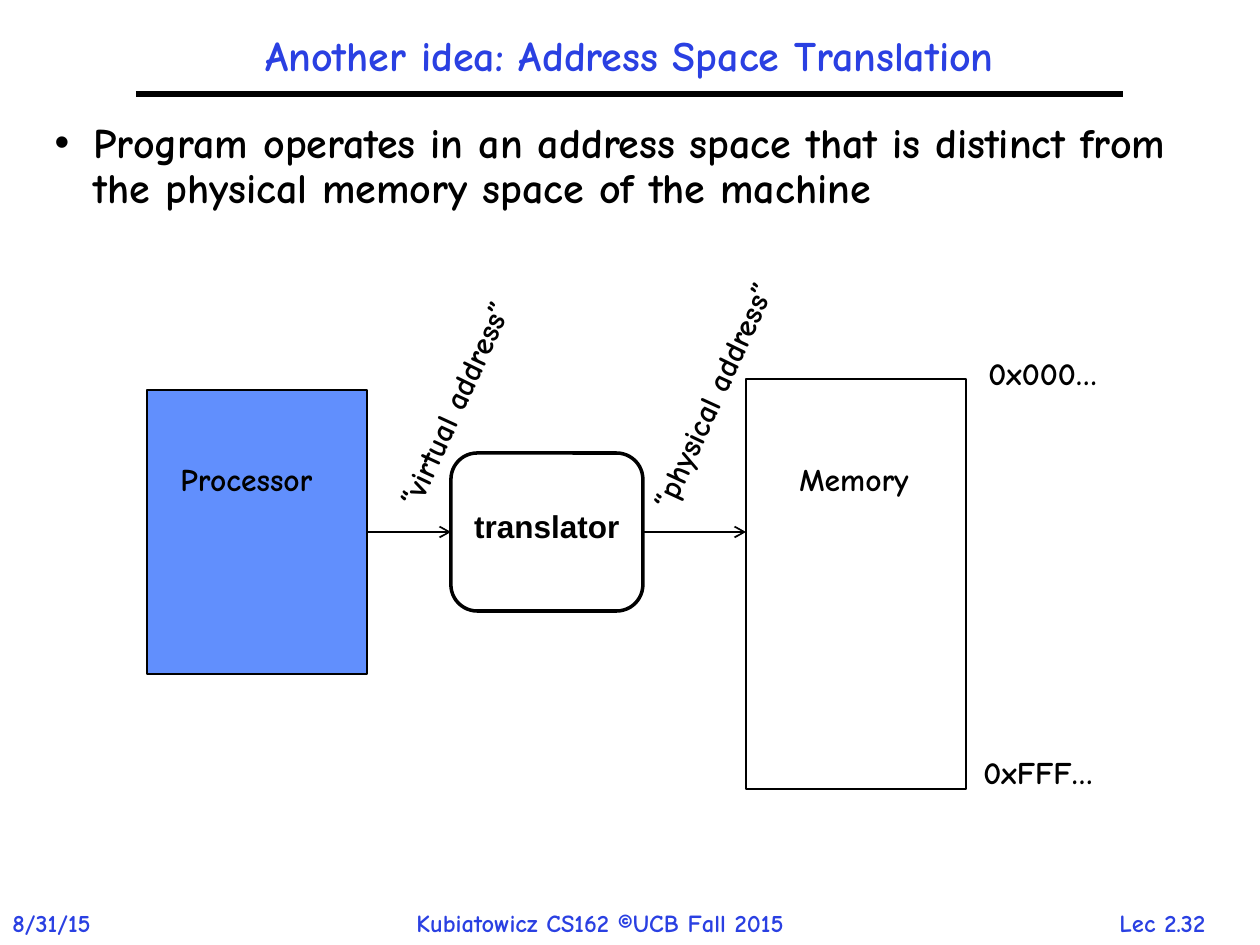
from lxml import etree
from pptx import Presentation
from pptx.dml.color import RGBColor
from pptx.enum.shapes import MSO_CONNECTOR, MSO_SHAPE
from pptx.enum.text import MSO_ANCHOR, PP_ALIGN
from pptx.oxml.ns import qn
from pptx.util import Pt

LINE = MSO_CONNECTOR.STRAIGHT
RECT = MSO_SHAPE.RECTANGLE
ROUND = MSO_SHAPE.FLOWCHART_ALTERNATE_PROCESS
MIDDLE, TOP = MSO_ANCHOR.MIDDLE, MSO_ANCHOR.TOP
LEFT, CENTER = PP_ALIGN.LEFT, PP_ALIGN.CENTER
BLACK = RGBColor(0x00, 0x00, 0x00)
WHITE = RGBColor(0xFF, 0xFF, 0xFF)
BLUE = RGBColor(0x2A, 0x40, 0xE2)
SKY = RGBColor(0x61, 0x8F, 0xFD)
PX = 914400 // 126


def write(shape, text, size=18, font="Comic Neue", color=BLACK,
          align=LEFT, anchor=TOP, wrap=False, spacing=1.0):
    frame = shape.text_frame
    frame.word_wrap = wrap
    frame.vertical_anchor = anchor
    para = frame.paragraphs[0]
    para.alignment = align
    para.line_spacing = spacing
    para.space_before = Pt(0)
    run = para.add_run()
    run.text = text
    run.font.size = Pt(size)
    run.font.name = font
    run.font.bold = True
    run.font.color.rgb = color
    return para


def link(x1, x2, y, width):
    line = slide.shapes.add_connector(LINE, x1 * PX, y * PX, x2 * PX, y * PX)
    line.line.color.rgb = BLACK
    line.line.width = Pt(width)
    etree.SubElement(line._element.spPr, qn("a:effectLst"))
    return line


deck = Presentation()
deck.slide_width, deck.slide_height = 1260 * PX, 945 * PX
slide = deck.slides.add_slide(deck.slide_layouts[1])

title, body = slide.placeholders
for holder, box in ((title, (136, 21, 987, 73)), (body, (42, 116, 1187, 189))):
    holder.left, holder.top, holder.width, holder.height = [n * PX for n in box]
write(title, "Another idea: Address Space Translation", size=24, color=BLUE,
      align=CENTER, anchor=MIDDLE, wrap=True, spacing=0.9)
point = write(body, "Program operates in an address space that is distinct from "
              "the physical memory space of the machine",
              size=24, wrap=True, spacing=0.9)
props = point._p.get_or_add_pPr()
props.set("marL", str(39 * PX))
props.set("indent", str(-39 * PX))
etree.SubElement(props, qn("a:buChar"), char="•")

link(136, 1123, 94, 3)

blocks = (
    (RECT, 746, 379, 220, 410, None, 1),
    (RECT, 147, 390, 220, 284, SKY, 1),
    (ROUND, 451, 453, 192, 158, WHITE, 2),
)
for kind, x, y, w, h, fill, width in blocks:
    block = slide.shapes.add_shape(kind, x * PX, y * PX, w * PX, h * PX)
    block.shadow.inherit = False
    if fill is None:
        block.fill.background()
    else:
        block.fill.solid()
        block.fill.fore_color.rgb = fill
    block.line.color.rgb = BLACK
    block.line.width = Pt(width)
write(block, "translator", font="Arial", align=CENTER, anchor=MIDDLE)
block.text_frame.margin_bottom = 18 * PX

for x1, x2 in ((367, 451), (643, 746)):
    arrow = link(x1, x2, 532, 1)
    etree.SubElement(arrow.line._get_or_add_ln(), qn("a:tailEnd"), type="arrow")

labels = (
    ("Processor", 168, 454, 169, 50, 0, 18, BLACK, LEFT),
    ("Memory", 787, 454, 140, 50, 0, 18, BLACK, LEFT),
    ("0x000…", 976, 348, 144, 50, 0, 18, BLACK, LEFT),
    ("0xFFF…", 971, 747, 149, 50, 0, 18, BLACK, LEFT),
    ("“virtual address”", 328, 375, 255, 50, 294.7, 18, BLACK, LEFT),
    ("“physical address”", 573, 364, 284, 50, 294.7, 18, BLACK, LEFT),
    ("8/31/15", 0, 902, 126, 42, 0, 14, BLUE, LEFT),
    ("Kubiatowicz CS162 ©UCB Fall 2015", 404, 902, 455, 42, 0, 14, BLUE, LEFT),
    ("Lec 2.32", 1086, 902, 153, 42, 0, 14, BLUE, CENTER),
)
for text, x, y, w, h, turn, size, color, align in labels:
    label = slide.shapes.add_textbox(x * PX, y * PX, w * PX, h * PX)
    label.rotation = turn
    write(label, text, size=size, color=color, align=align)

deck.save("out.pptx")
